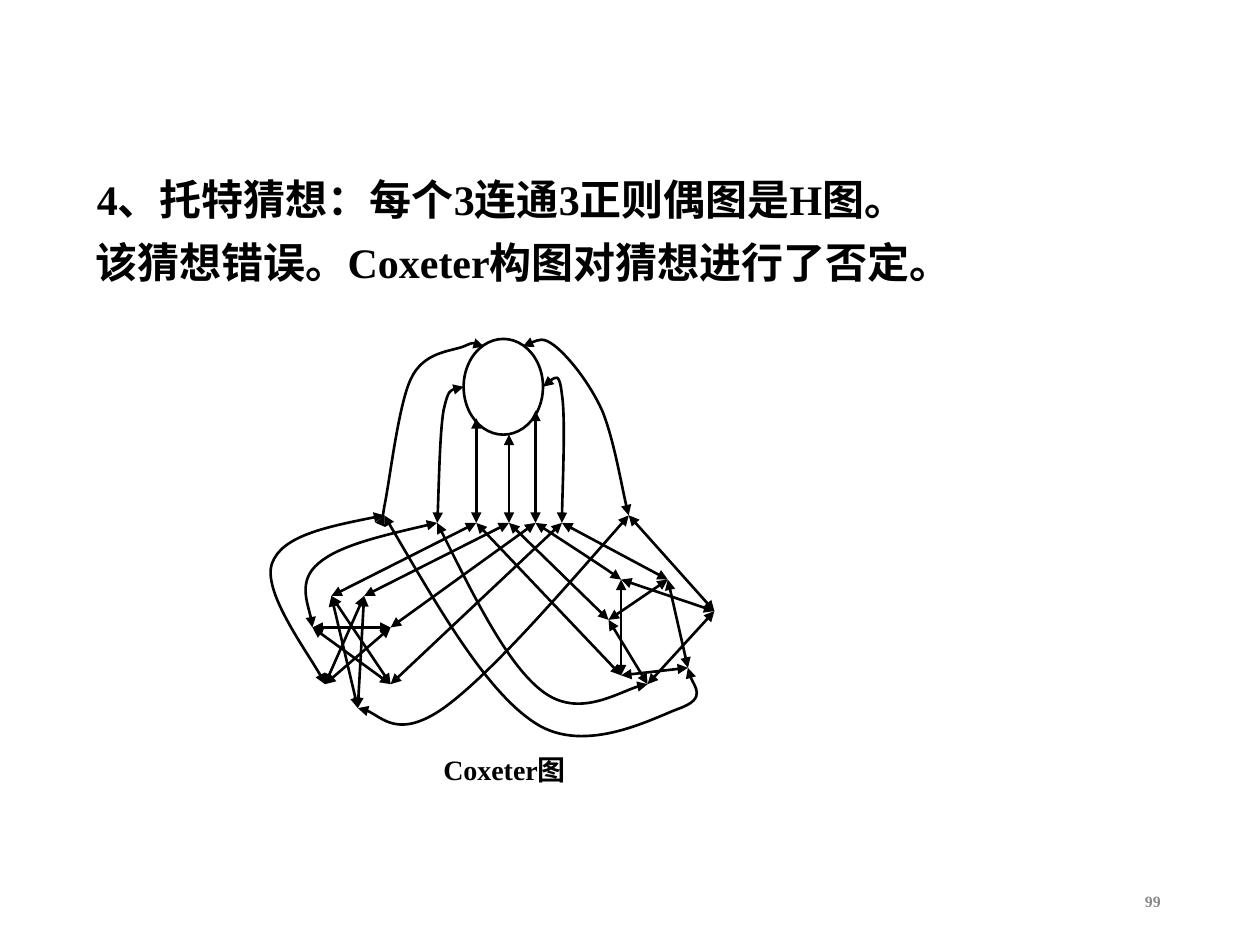
from pptx import Presentation
from pptx.dml.color import RGBColor
from pptx.enum.shapes import MSO_CONNECTOR, MSO_SHAPE
from pptx.enum.text import MSO_ANCHOR, MSO_AUTO_SIZE, PP_ALIGN
from pptx.oxml.ns import qn
from pptx.util import Inches, Pt
from lxml import etree

LINE = MSO_CONNECTOR.STRAIGHT
OVAL = MSO_SHAPE.OVAL
MID, TOP = MSO_ANCHOR.MIDDLE, MSO_ANCHOR.TOP
GROW = MSO_AUTO_SIZE.SHAPE_TO_FIT_TEXT
LEFT, RIGHT = PP_ALIGN.LEFT, PP_ALIGN.RIGHT
COLORS = {"ink": "000000", "gray": "898989"}

prs = Presentation()
prs.slide_width, prs.slide_height = Inches(10), Inches(7.5)
slide = prs.slides.add_slide(prs.slide_layouts[6])


def add_text(shapes, text, box, size, color="ink", align=LEFT, anchor=TOP, indent=0):
    label = shapes.add_textbox(*map(Inches, box))
    frame = label.text_frame
    frame.word_wrap = True
    frame.vertical_anchor = anchor
    if anchor == TOP:
        frame.auto_size = GROW
    para = frame.paragraphs[0]
    para.text = text
    para.alignment = align
    if indent:
        para._p.get_or_add_pPr().set("indent", str(Inches(indent)))
    font = para.font
    font.name, font.size, font.bold = "Times New Roman", Pt(size), True
    font.color.rgb = RGBColor.from_string(COLORS[color])


def style_edge(edge):
    edge.line.color.rgb = RGBColor.from_string(COLORS["ink"])
    edge.line.width = Pt(1.5)
    props = edge._element.spPr
    for end in ("a:headEnd", "a:tailEnd"):
        etree.SubElement(props.find(qn("a:ln")), qn(end), type="triangle")
    etree.SubElement(props, qn("a:effectLst"))


add_text(slide.shapes, "99", (7.06, 6.95, 2.25, 0.4), 9, "gray", RIGHT, MID)
add_text(slide.shapes, "该猜想错误。Coxeter构图对猜想进行了否定。",
         (0.33, 1.83, 8.75, 0.5), 24, indent=0.33)
add_text(slide.shapes, "4、托特猜想：每个3连通3正则偶图是H图。",
         (0.42, 1.33, 8.58, 0.5), 24, indent=0.25)

graph = slide.shapes.add_group_shape().shapes
hub = graph.add_shape(OVAL, *map(Inches, (3.68, 2.69, 0.63, 0.76)))
hub.fill.background()
hub.line.color.rgb = RGBColor.from_string(COLORS["ink"])
hub.line.width = Pt(1.5)
hub.shadow.inherit = False

nodes = {
    "a": (3.05, 4.09), "b": (3.47, 4.15), "c": (3.78, 4.15), "d": (4.04, 4.15),
    "e": (4.25, 4.15), "f": (4.46, 4.15), "g": (4.99, 4.09),
    "h": (2.63, 4.73), "i": (2.89, 4.73), "j": (2.48, 4.98), "k": (3.1, 4.98),
    "l": (2.58, 5.43), "m": (3.1, 5.43), "n": (2.84, 5.62),
    "o": (4.93, 4.6), "p": (5.3, 4.6), "q": (4.83, 4.92), "r": (5.67, 4.85),
    "s": (4.93, 5.36), "t": (5.46, 5.3), "u": (5.14, 5.43),
    "C": (3.78, 3.32), "D": (4.04, 3.45), "E": (4.25, 3.26),
}
pairs = "Dd Cc Ee il in hm hn jk kl jm qp pt qu os or st ru ch di ek fm fp gr dq cs"
for start, end in pairs.split():
    edge = graph.add_connector(LINE, *map(Inches, nodes[start] + nodes[end]))
    style_edge(edge)

curves = [
    [(3.84, 2.75), (3.8, 2.73), (3.77, 2.71), (3.68, 2.75),
     (3.58, 2.79), (3.36, 2.79), (3.26, 3.01),
     (3.16, 3.22), (3.09, 3.84), (3.05, 4.02),
     (3.02, 4.21), (3.03, 4.15), nodes["a"]],
    [(4.15, 2.75), (4.23, 2.71), (4.31, 2.67), (4.41, 2.75),
     (4.52, 2.84), (4.68, 3.04), (4.78, 3.26),
     (4.87, 3.48), (4.95, 3.95), nodes["g"]],
    [(3.68, 3.07), (3.62, 3.07), (3.56, 3.08), (3.52, 3.26),
     (3.49, 3.44), (3.48, 4), nodes["b"]],
    [(4.31, 3.07), (4.37, 3.01), (4.44, 2.95), (4.46, 3.13),
     (4.49, 3.31), (4.46, 3.98), nodes["f"]],
    [nodes["g"], (4.43, 4.73), (3.88, 5.36), (3.52, 5.62),
     (3.16, 5.87), (2.96, 5.62), nodes["n"]],
    [nodes["b"], (3.08, 4.24), (2.69, 4.33), (2.53, 4.47),
     (2.36, 4.61), (2.48, 4.9), nodes["j"]],
    [nodes["a"], (2.65, 4.17), (2.24, 4.25), (2.16, 4.47),
     (2.08, 4.69), (2.51, 5.27), nodes["l"]],
    [nodes["e"], (4.54, 4.34), (4.82, 4.52), nodes["o"]],
    [nodes["b"], (3.75, 4.71), (4.03, 5.28), (4.31, 5.49),
     (4.59, 5.7), (5, 5.44), nodes["u"]],
    [nodes["a"], (3.46, 4.79), (3.86, 5.49), (4.25, 5.74),
     (4.65, 6), (5.2, 5.69), (5.4, 5.62),
     (5.61, 5.54), (5.45, 5.35), nodes["t"]],
]
for curve in curves:
    points = [(Inches(x), Inches(y)) for x, y in curve]
    pen = graph.build_freeform(*points[0])
    pen.add_line_segments(points[1:], close=False)
    edge = pen.convert_to_shape()
    edge.fill.background()
    style_edge(edge)
    steps = list(edge._element.iter(qn("a:lnTo")))
    for n in range(0, len(steps), 3):
        bend = etree.SubElement(steps[n].getparent(), qn("a:cubicBezTo"))
        for step in steps[n:n + 3]:
            bend.append(step[0])
            step.getparent().remove(step)

add_text(graph, "Coxeter图", (3.42, 5.92, 1.43, 0.37), 16)

prs.save("out.pptx")
